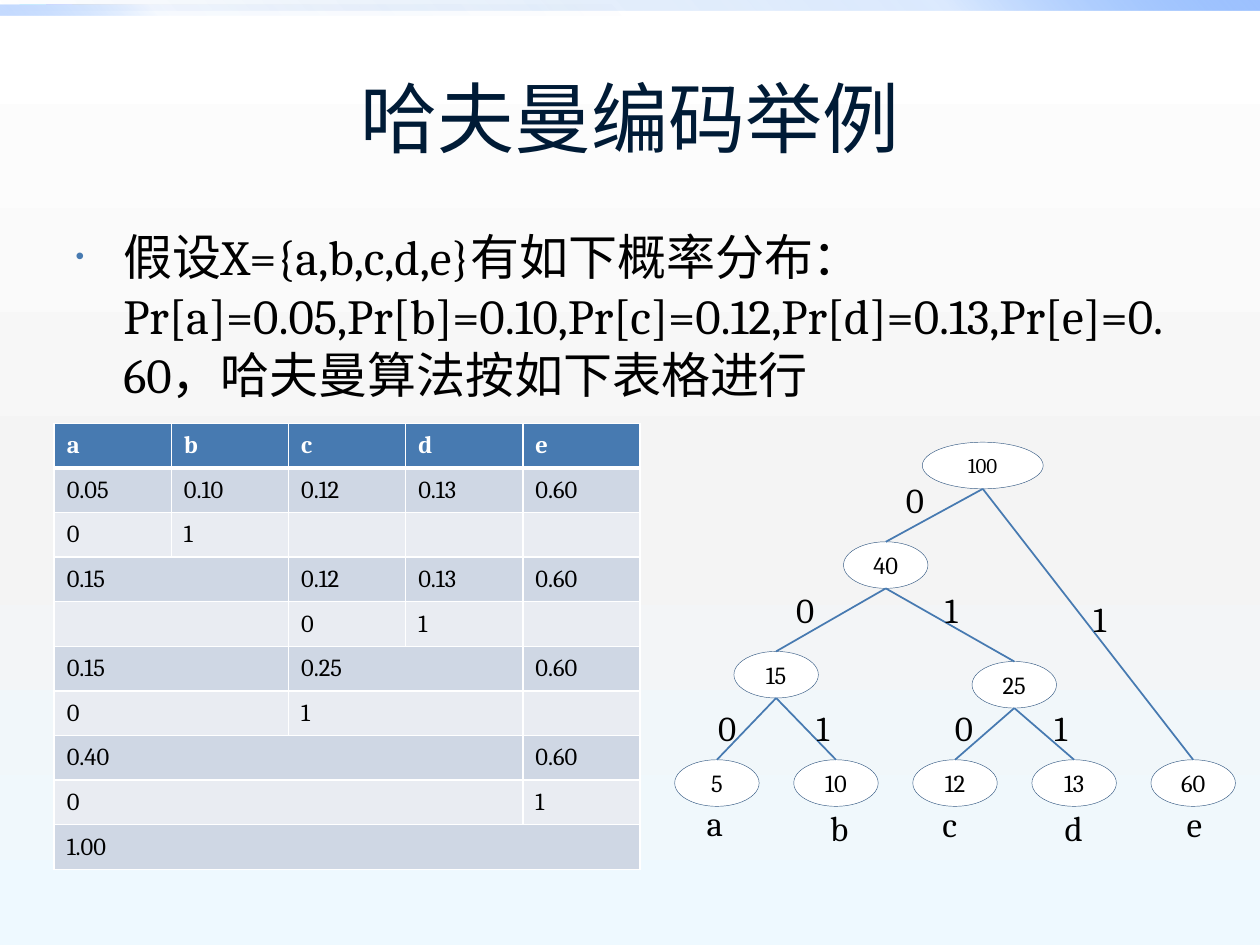
from lxml.etree import SubElement
from pptx import Presentation
from pptx.dml.color import RGBColor
from pptx.enum.shapes import MSO_CONNECTOR, MSO_SHAPE
from pptx.enum.text import MSO_ANCHOR, MSO_AUTO_SIZE, PP_ALIGN
from pptx.oxml.ns import qn
from pptx.util import Inches, Pt


def color(value):
    return RGBColor.from_string(value)


class Board:
    """Style and current slide."""
    font = "Cambria"
    blue, outline, white, black = "477AB1", "355A83", "FFFFFF", "000000"
    bands = ["CFD7E4", "E9ECF2"]

    def __init__(self, page):
        self.page = page
        self.tree = None

    def style(self, para, size, ink=black, bold=False, font=font, align=None):
        para.font.size, para.font.bold, para.font.name = Pt(size), bold, font
        para.font.color.rgb = color(ink)
        para.alignment = align

    def gradient(self, fill, owner, stops, angle):
        fill.gradient()
        grad = owner.xpath(".//a:gradFill")[0]
        grad.find(qn("a:lin")).set("ang", str(angle * 60000))
        stop_list = grad.find(qn("a:gsLst"))
        stop_list.clear()
        for position, ink, opacity in stops:
            stop = SubElement(stop_list, qn("a:gs"), pos=str(position * 1000))
            shade = SubElement(stop, qn("a:srgbClr"), val=ink)
            if opacity < 100:
                SubElement(shade, qn("a:alpha"), val=str(opacity * 1000))

    def background(self, stops, angle):
        self.gradient(self.page.background.fill, self.page._element, stops, angle)

    def bar(self, left, top, width, height, stops, angle):
        bar = self.page.shapes.add_shape(
            MSO_SHAPE.RECTANGLE, Inches(left), Inches(top), Inches(width), Inches(height))
        bar.shadow.inherit = False
        bar.line.fill.background()
        self.gradient(bar.fill, bar._element, stops, angle)

    def placeholder(self, index, text, area, **style):
        box = self.page.placeholders[index]
        box.left, box.top, box.width, box.height = map(Inches, area)
        box.text_frame.text = text
        para = box.text_frame.paragraphs[0]
        self.style(para, **style)
        return box, para

    def title(self, text):
        box, _ = self.placeholder(0, text, (0.5, 0.3, 9, 1.25), size=44,
                                  ink="001B36", font="Roboto", align=PP_ALIGN.CENTER)
        box.text_frame.vertical_anchor = MSO_ANCHOR.MIDDLE

    def body(self, text):
        _, para = self.placeholder(1, text, (0.5, 1.75, 9, 4.95), size=28)
        para.space_before = Pt(5.6)
        props = para._p.get_or_add_pPr()
        props.set("marL", str(Inches(0.38)))
        props.set("indent", str(-Inches(0.38)))
        # Bullet settings belong ahead of the default run properties
        default = props.find(qn("a:defRPr"))
        tint = SubElement(props, qn("a:buClr"))
        SubElement(tint, qn("a:srgbClr"), val=self.blue)
        size = SubElement(props, qn("a:buSzPct"), val="50000")
        mark = SubElement(props, qn("a:buChar"), char="•")
        for item in (tint, size, mark):
            default.addprevious(item)

    def borders(self, cell, top=1, bottom=1):
        props = cell._tc.get_or_add_tcPr()
        for side, width in (("L", 1), ("R", 1), ("T", top), ("B", bottom)):
            line = SubElement(props, qn("a:ln" + side), w=str(Pt(width)))
            SubElement(SubElement(line, qn("a:solidFill")), qn("a:srgbClr"), val=self.white)

    def table(self, rows, left, top, width, height):
        """Each None in a row extends the cell to its left."""
        table = self.page.shapes.add_table(
            len(rows), len(rows[0]), Inches(left), Inches(top),
            Inches(width), Inches(height)).table
        for r, row in enumerate(rows):
            for c, text in enumerate(row):
                cell = table.cell(r, c)
                cell.text = text or ""
                cell.vertical_anchor = MSO_ANCHOR.MIDDLE
                header = r == 0
                self.style(cell.text_frame.paragraphs[0], 14,
                           self.white if header else self.black, header)
                self.borders(cell, 3 if r == 1 else 1, 3 if header else 1)
                cell.fill.solid()
                cell.fill.fore_color.rgb = color(
                    self.blue if header else self.bands[(r - 1) % 2])
            starts = [c for c, text in enumerate(row) if text is not None]
            for start, end in zip(starts, starts[1:] + [len(row)]):
                if end - start > 1:
                    table.cell(r, start).merge(table.cell(r, end - 1))

    def begin_tree(self):
        self.tree = self.page.shapes.add_group_shape().shapes

    def node(self, text, center, top, width=0.67, height=0.37, size=14):
        oval = self.tree.add_shape(MSO_SHAPE.OVAL, Inches(center - width / 2),
                                   Inches(top), Inches(width), Inches(height))
        oval.shadow.inherit = False
        oval.fill.solid()
        oval.fill.fore_color.rgb = color(self.white)
        oval.line.color.rgb = color(self.outline)
        oval.line.width = Pt(0.25)
        oval.text_frame.text = text
        oval.text_frame.vertical_anchor = MSO_ANCHOR.MIDDLE
        self.style(oval.text_frame.paragraphs[0], size, align=PP_ALIGN.CENTER)

    def branch(self, start, end):
        line = self.tree.add_connector(MSO_CONNECTOR.STRAIGHT, *map(Inches, start + end))
        line.line.color.rgb = color(self.blue)
        line.line.width = Pt(1)
        SubElement(line._element.spPr, qn("a:effectLst"))

    def label(self, text, left, top):
        box = self.tree.add_textbox(Inches(left), Inches(top), Inches(0.38), Inches(0.44))
        box.text_frame.word_wrap = True
        box.text_frame.auto_size = MSO_AUTO_SIZE.SHAPE_TO_FIT_TEXT
        box.text_frame.text = text
        self.style(box.text_frame.paragraphs[0], 20)


deck = Presentation()
deck.slide_width, deck.slide_height = Inches(10), Inches(7.5)
board = Board(deck.slides.add_slide(deck.slide_layouts[1]))

# Backdrop
board.background([(0, "FFFFFF", 100), (55, "F4F4F4", 100), (100, "EEF9FF", 100)], 90)
board.bar(0, 0, 10, 0.08, [(0, "0058B7", 0), (75, "4F95FF", 20), (100, "9EC2FF", 100)], 315)
board.bar(0, 0.04, 5, 0.08, [(0, "0058B7", 0), (75, "4F95FF", 5), (100, "9EC2FF", 60)], 135)

# Title and introduction
board.title("哈夫曼编码举例")
board.body("假设X={a,b,c,d,e}有如下概率分布：Pr[a]=0.05,Pr[b]=0.10,Pr[c]=0.12,"
           "Pr[d]=0.13,Pr[e]=0.60，哈夫曼算法按如下表格进行")

# Merging steps
board.table([
    ["a", "b", "c", "d", "e"],
    ["0.05", "0.10", "0.12", "0.13", "0.60"],
    ["0", "1", "", "", ""],
    ["0.15", None, "0.12", "0.13", "0.60"],
    ["", None, "0", "1", ""],
    ["0.15", None, "0.25", None, "0.60"],
    ["0", None, "1", None, ""],
    ["0.40", None, None, None, "0.60"],
    ["0", None, None, None, "1"],
    ["1.00", None, None, None, None],
], 0.43, 3.36, 4.65, 3.54)

# Code tree: name -> centre, top
board.begin_tree()
nodes = {"100": (7.8, 3.51), "40": (7.03, 4.3), "15": (6.16, 5.17), "25": (8.05, 5.25)}
for i, leaf in enumerate(["5", "10", "12", "13", "60"]):
    nodes[leaf] = (5.69 + 0.945 * i, 6.03)
for name, (center, top) in nodes.items():
    if name == "100":
        board.node(name, center, top, width=0.96, size=12)
    else:
        board.node(name, center, top)

# Branches run from the foot of a parent to the top of a child
children = {"100": ("40", "60"), "40": ("15", "25"), "15": ("5", "10"), "25": ("12", "13")}
for parent, pair in children.items():
    center, top = nodes[parent]
    for child in pair:
        board.branch((center, top + 0.37), nodes[child])

# Symbols and code digits
for text, left, top in [
    ("a", 5.51, 6.31), ("b", 6.49, 6.35), ("c", 7.38, 6.32), ("d", 8.35, 6.35),
    ("e", 9.32, 6.32), ("0", 7.09, 3.75), ("1", 8.58, 4.69), ("0", 6.22, 4.62),
    ("1", 7.4, 4.62), ("0", 5.6, 5.56), ("1", 6.38, 5.56), ("0", 7.48, 5.56),
    ("1", 8.27, 5.56),
]:
    board.label(text, left, top)

deck.save("out.pptx")
